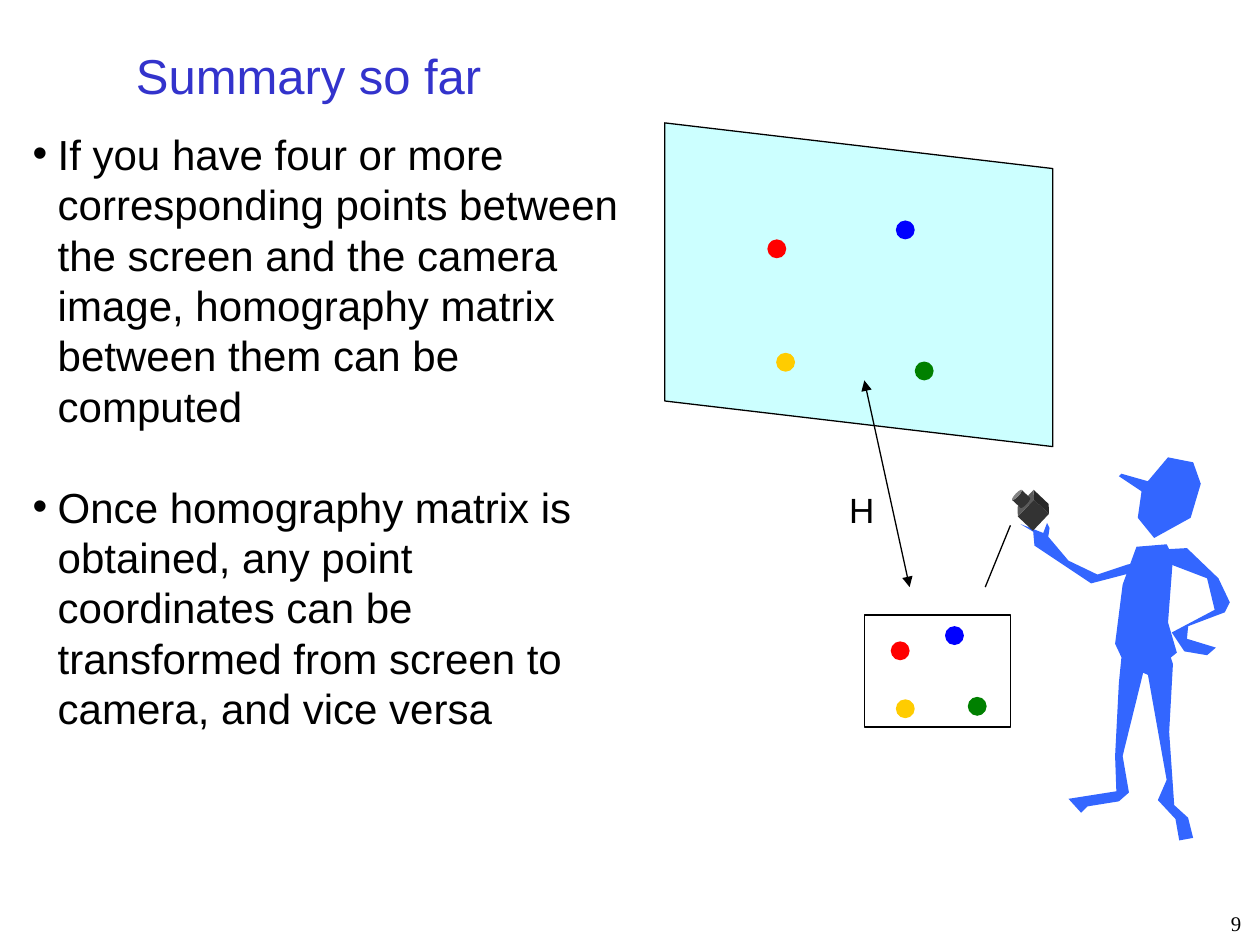
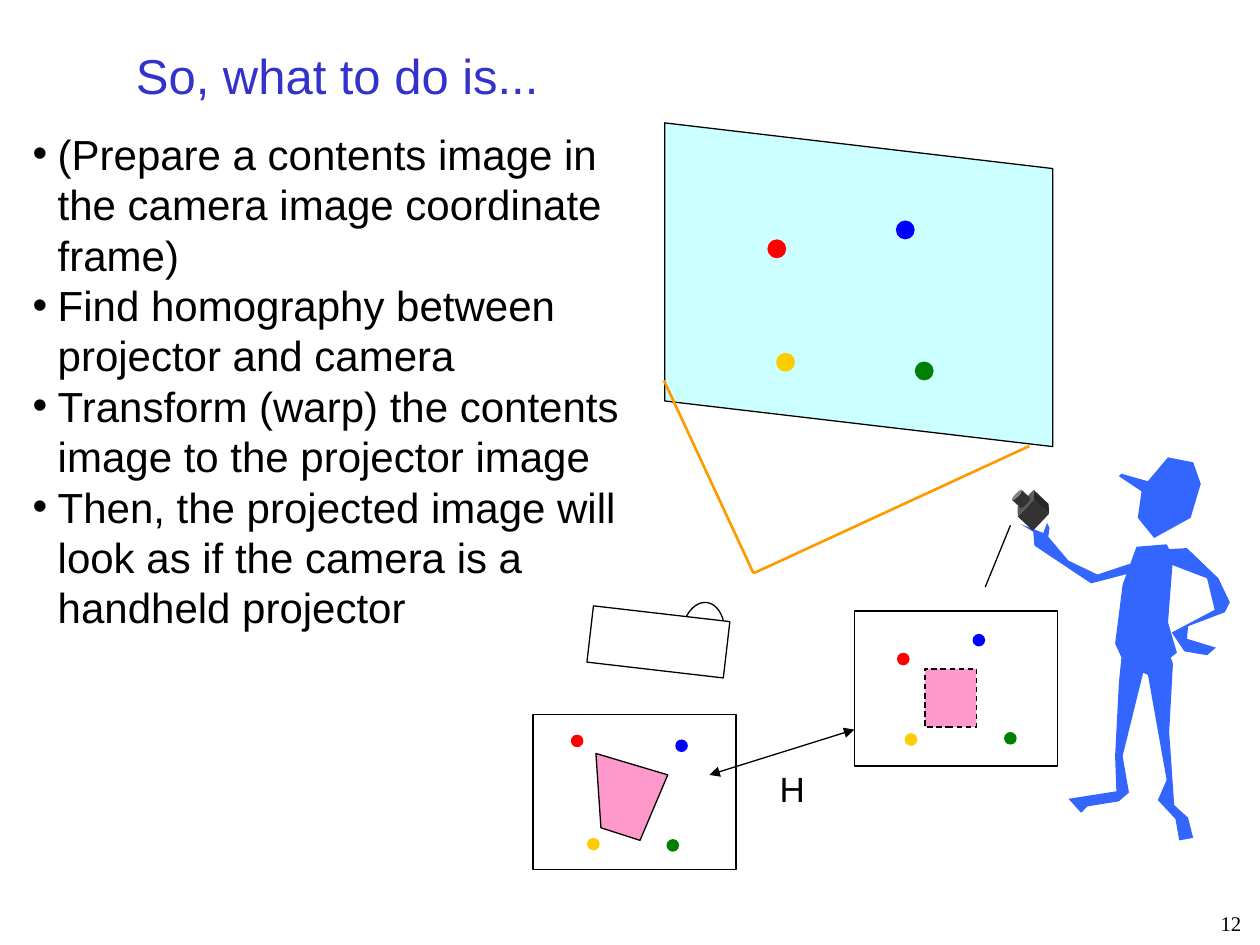
"""Builds two slides on homography between a screen, a camera and a projector."""
from lxml.etree import SubElement
from pptx import Presentation
from pptx.dml.color import RGBColor as RGB
from pptx.enum.dml import MSO_LINE as Dash
from pptx.enum.shapes import MSO_CONNECTOR as Conn, MSO_SHAPE as Kind
from pptx.enum.text import MSO_ANCHOR as Anchor, PP_ALIGN as Align
from pptx.oxml.ns import qn
from pptx.util import Pt

COLORS = {
    "ink": "000000", "title": "3333CC", "screen": "CCFFFF", "man": "3366FF",
    "cam": "333333", "beam": "FF9900", "pink": "FF99CC", "white": "FFFFFF",
    "red": "FF0000", "blue": "0000FF", "green": "008000", "gold": "FFCC00",
}
SPOTS = ("red", "blue", "green", "gold")
UNIT = Pt(0.72)
LEAD = 1.2

SUMMARY = {
    "title": "Summary so far",
    "page": "9",
    "points": [
        "If you have four or more corresponding points between the screen and "
        "the camera image, homography matrix between them can be computed",
        "Once homography matrix is obtained, any point coordinates can be "
        "transformed from screen to camera, and vice versa",
    ],
    "gap": 28.8,
    "height": 352.8,
    "frames": [(493.9, 351.4)],
    "frame": (83.5, 64.1),
    "size": 10.8,
    "spots": [[(509, 366.5), (540, 357.8), (553, 398.2), (511.9, 399.6)]],
    "arrow": ((493.9, 217.4), (519.8, 335.5)),
    "label": (478.1, 275.8),
}
TODO = {
    "title": "So, what to do is...",
    "page": "12",
    "points": [
        "(Prepare a contents image in the camera image coordinate frame)",
        "Find homography between projector and camera",
        "Transform (warp) the contents image to the projector image",
        "Then, the projected image will look as if the camera is a handheld projector",
    ],
    "gap": 0,
    "height": 324,
    "frames": [(488.2, 349.2), (304.6, 408.2)],
    "frame": (115.9, 88.6),
    "size": 7.2,
    "spots": [
        [(512.6, 373), (555.8, 362.2), (573.8, 418.3), (517, 419)],
        [(326.2, 419.8), (385.9, 422.6), (380.9, 479.5), (335.5, 478.8)],
    ],
    "arrow": ((488.2, 416.9), (405.4, 442.8)),
    "label": (438.5, 434.9),
}

SCREEN = (398.2, 51.8, 185, 221.8)
MARKS = [(438.5, 136.8), (511.9, 126), (522.7, 206.6), (443.5, 201.6)]
POINTER = ((577.4, 300.2), (563, 335.5))
APEX = (430.6, 327.6)
BEAMS = [(588.2, 254.9), (379.4, 217.4)]
WARP = [(473, 598), (530, 615), (508, 667), (477, 657)]
MAN = {
    "head": [
        (911, 382), (927, 363), (947, 367), (953, 384), (945, 411),
        (916, 427), (903, 411), (906, 390), (888, 378), (890, 376)],
    "raised arm": [
        (895, 448), (911, 445), (912, 451), (866, 463), (821, 433),
        (820, 422), (810, 416), (828, 423), (831, 415), (833, 419),
        (832, 426), (848, 445), (871, 456)],
    "bent arm": [
        (924, 436), (942, 435), (967, 459), (976, 478), (972, 486),
        (943, 497), (942, 507), (965, 514), (958, 520), (940, 517),
        (930, 502), (964, 484), (958, 459), (924, 446)],
    "trunk": [
        (891, 464), (902, 434), (926, 432), (931, 442), (927, 494),
        (934, 518), (912, 536), (893, 528), (885, 511)],
    "right leg": [
        (913, 518), (928, 518), (931, 527), (928, 581), (932, 639),
        (943, 649), (947, 665), (936, 667), (933, 650), (919, 635),
        (926, 619), (911, 535)],
    "left leg": [
        (890, 522), (907, 517), (907, 535), (891, 600), (896, 629),
        (888, 636), (863, 640), (858, 645), (848, 634), (886, 628),
        (885, 600), (888, 542)],
}


def color(name):
    return RGB.from_string(COLORS[name])


def paint(shape, fill=None, line=None):
    shape.shadow.inherit = False
    if fill:
        shape.fill.solid()
        shape.fill.fore_color.rgb = color(fill)
    else:
        shape.fill.background()
    if line:
        shape.line.color.rgb = color(line)
        shape.line.width = Pt(0.75)
    else:
        shape.line.fill.background()
    return shape


def add(slide, kind, box, fill=None, line=None, turn=0):
    shape = slide.shapes.add_shape(kind, *map(Pt, box))
    shape.rotation = turn
    return paint(shape, fill, line)


def trace(slide, dots, fill, line=None):
    pen = slide.shapes.build_freeform(*dots[0], scale=UNIT)
    pen.add_line_segments(dots[1:], close=True)
    paint(pen.convert_to_shape(), fill, line)


def join(slide, start, end, ink="ink", width=0.75, heads=False):
    wire = slide.shapes.add_connector(Conn.STRAIGHT, *map(Pt, start + end))
    wire.line.color.rgb = color(ink)
    wire.line.width = Pt(width)
    props = wire.line._get_or_add_ln()
    if heads:
        for tag in ("a:headEnd", "a:tailEnd"):
            SubElement(props, qn(tag), type="triangle")
    SubElement(props.getparent(), qn("a:effectLst"))


def write(slide, box, lines, size, ink="ink", font="Arial", wrap=True):
    frame = slide.shapes.add_textbox(*map(Pt, box)).text_frame
    frame.word_wrap = wrap
    frame.text = "\n".join(lines)
    for para in frame.paragraphs:
        para.font.size = Pt(size)
        para.font.name = font
        para.font.color.rgb = color(ink)
    return frame


def bullet(para):
    props = para._p.get_or_add_pPr()
    props.set("marL", str(Pt(14.4)))
    props.set("indent", str(-Pt(14.4)))
    mark = SubElement(props, qn("a:buFont"), typeface="Arial")
    char = SubElement(props, qn("a:buChar"), char="•")
    for node in props.findall(qn("a:defRPr")):
        node.addprevious(mark)
        node.addprevious(char)


def dot(slide, places, size):
    for ink, (left, top) in zip(SPOTS, places):
        add(slide, Kind.OVAL, (left, top, size, size), ink)


def scene(slide):
    screen = add(slide, Kind.PARALLELOGRAM, SCREEN, "screen", "ink", 270)
    screen.adjustments[0] = 0.141
    for part in MAN.values():
        trace(slide, part, "man")
    add(slide, Kind.CUBE, (581.8, 283.7, 17.3, 15.8), "cam", turn=313.4)
    add(slide, Kind.CAN, (579.6, 280.8, 7.9, 8.6), "cam", turn=313.4)
    join(slide, *POINTER)
    dot(slide, MARKS, 10.8)


def base(deck, data):
    slide = deck.slides.add_slide(deck.slide_layouts[6])
    page = write(slide, (548.6, 518.4, 167.8, 22.3), [data["page"]], 11.9,
                 font="Times New Roman").paragraphs[0]
    page.alignment = Align.RIGHT
    page.line_spacing = 0.9
    title = write(slide, (70.6, 23, 630.7, 39.6), [data["title"]], 28, "title")
    title.vertical_anchor = Anchor.MIDDLE
    scene(slide)
    for place, spots in zip(data["frames"], data["spots"]):
        add(slide, Kind.RECTANGLE, place + data["frame"], line="ink")
        dot(slide, spots, data["size"])
    body = write(slide, (11.5, 69.8, 354.2, data["height"]), data["points"], 24)
    for rank, para in enumerate(body.paragraphs):
        para.line_spacing = Pt(24 * LEAD)
        para.space_before = Pt(data["gap"] if rank else 0)
        bullet(para)
    join(slide, *data["arrow"], heads=True)
    label = write(slide, data["label"] + (28.8, 31.7), ["H"], 20, wrap=False)
    label.paragraphs[0].line_spacing = Pt(20 * LEAD)
    return slide


def project(slide):
    for end in BEAMS:
        join(slide, APEX, end, "beam", 1.5)
    add(slide, Kind.OVAL, (389.5, 344.2, 24.5, 36.7), "white", "ink", 6.6)
    add(slide, Kind.RECTANGLE, (337, 350.6, 78.5, 32.4), "white", "ink", 6.6)
    image = add(slide, Kind.RECTANGLE, (528.5, 382.3, 29.5, 33.1), "pink", "ink")
    image.line.dash_style = Dash.DASH
    trace(slide, WARP, "pink", "ink")


def main():
    deck = Presentation()
    deck.slide_width, deck.slide_height = Pt(720), Pt(540)
    base(deck, SUMMARY)
    project(base(deck, TODO))
    deck.save("out.pptx")


if __name__ == "__main__":
    main()
